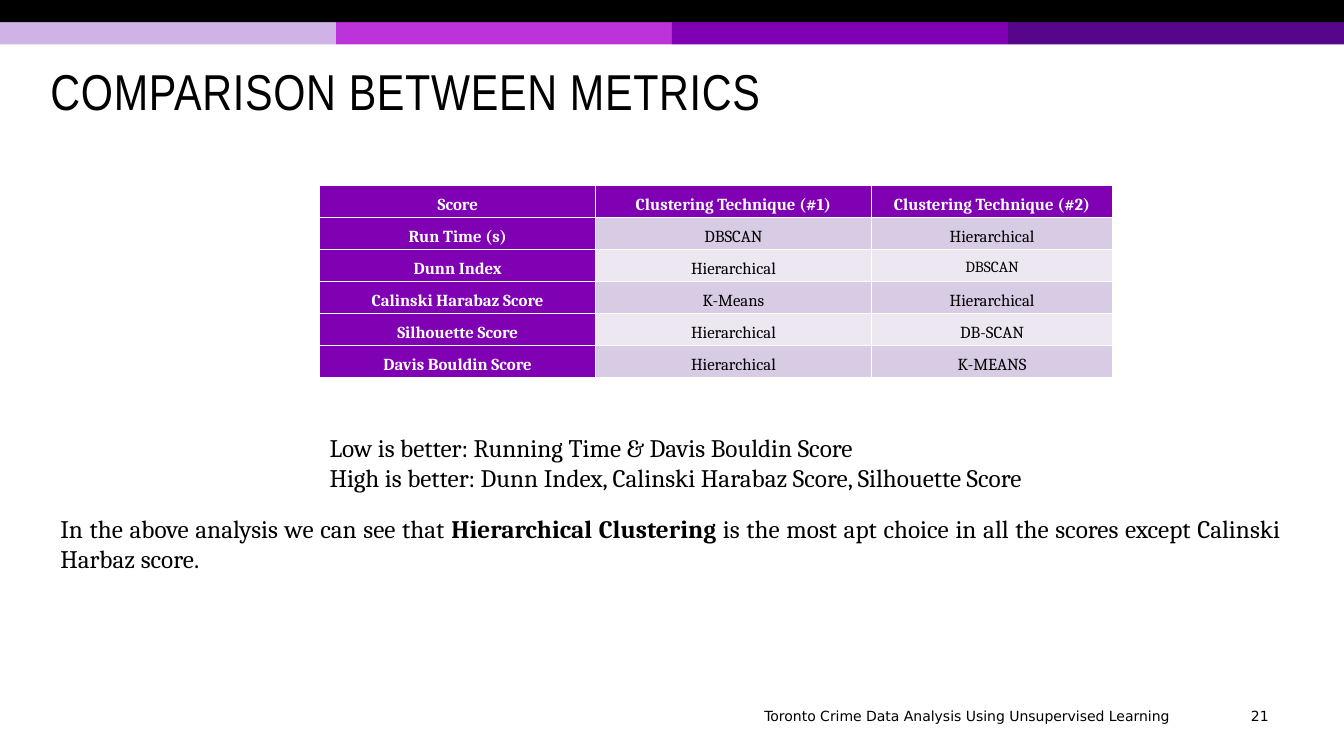
from pptx import Presentation
from pptx import util as u
from pptx.dml.color import RGBColor
from pptx.enum import shapes, text

WIDTH, HEIGHT = 13.33, 7.5
BAND = 0.22
MARGIN = 0.5
TABLE_LEFT, TABLE_WIDTH = 3.17, 7.87
PURPLE, BLACK, WHITE = "8000B3", "000000", "FFFFFF"


def paint(color_format, hex_color):
    color_format.rgb = RGBColor.from_string(hex_color)


def add_text(left, top, width, height, lines, font, size, align):
    """Add a text box; each line is a list of (words, bold) runs."""
    box = slide.shapes.add_textbox(*map(u.Inches, (left, top, width, height)))
    frame = box.text_frame
    frame.word_wrap = True
    for i, runs in enumerate(lines):
        line = frame.paragraphs[0] if i == 0 else frame.add_paragraph()
        line.alignment = align
        line.font.name, line.font.size = font, u.Pt(size)
        paint(line.font.color, BLACK)
        for words, bold in runs:
            run = line.add_run()
            run.text = words
            if bold:
                run.font.bold = True
    return frame


deck = Presentation()
deck.slide_width, deck.slide_height = u.Inches(WIDTH), u.Inches(HEIGHT)
slide = deck.slides.add_slide(deck.slide_layouts[5])

# Black band above four equal purple bands
quarter = WIDTH / 4
bands = [(i * quarter, BAND, quarter, color)
         for i, color in enumerate(["CFB3E6", "BD33DA", PURPLE, "57058A"])]
for left, top, width, color in bands + [(0, 0, WIDTH, BLACK)]:
    band = slide.shapes.add_shape(
        shapes.MSO_SHAPE.RECTANGLE, *map(u.Inches, (left, top, width, BAND)))
    band.shadow.inherit = False
    band.fill.solid()
    paint(band.fill.fore_color, color)
    band.line.fill.background()

# Title
title = slide.shapes.title
title.left, title.top = u.Inches(MARGIN), u.Inches(0.52)
title.width, title.height = u.Inches(9.51), u.Inches(0.73)
title.text = "COMPARISON BETWEEN METRICS"
title.text_frame.auto_size = text.MSO_AUTO_SIZE.NONE
title.text_frame.vertical_anchor = text.MSO_ANCHOR.BOTTOM
title.text_frame.margin_left = 0
heading = title.text_frame.paragraphs[0]
heading.alignment = text.PP_ALIGN.LEFT
heading.line_spacing = 0.85
heading.font.name, heading.font.size = "Arial Narrow", u.Pt(36)
paint(heading.font.color, BLACK)
heading.runs[0].font._element.set("spc", "50")

# Metric table
scores = [
    ("Score", "Clustering Technique (#1)", "Clustering Technique (#2)"),
    ("Run Time (s)", "DBSCAN", "Hierarchical"),
    ("Dunn Index", "Hierarchical", "DBSCAN"),
    ("Calinski Harabaz Score", "K-Means", "Hierarchical"),
    ("Silhouette Score", "Hierarchical", "DB-SCAN"),
    ("Davis Bouldin Score", "Hierarchical", "K-MEANS"),
]
metrics = slide.shapes.add_table(
    len(scores), 3, *map(u.Inches, (TABLE_LEFT, 1.84, TABLE_WIDTH, 1.91))).table
metrics.first_col = True
for column, width in zip(metrics.columns, (2.74, 2.73, 2.4)):
    column.width = u.Inches(width)
for r, row in enumerate(scores):
    for c, words in enumerate(row):
        cell = metrics.cell(r, c)
        header = r == 0 or c == 0
        cell.text = words
        cell.margin_left = cell.margin_right = u.Inches(0.07)
        cell.margin_top = cell.margin_bottom = 0
        cell.fill.solid()
        paint(cell.fill.fore_color,
              PURPLE if header else "D8CCE5" if r % 2 else "EDE7F2")
        entry = cell.text_frame.paragraphs[0]
        entry.alignment = text.PP_ALIGN.CENTER
        entry.line_spacing = 1.5
        entry.font.name = "Cambria"
        entry.font.size = u.Pt(11 if (r, c) == (2, 2) else 12)
        entry.font.bold = header
        paint(entry.font.color, WHITE if header else BLACK)

# Reading guide and conclusion
add_text(TABLE_LEFT, 4.24, TABLE_WIDTH, 0.71, [
    [("Low is better: Running Time & Davis Bouldin Score", False)],
    [("High is better: Dunn Index, Calinski Harabaz Score, Silhouette Score", False)],
], "Cambria", 18, text.PP_ALIGN.LEFT)
add_text(MARGIN, 5.04, 12.3, 0.71, [[
    ("In the above analysis we can see that ", False),
    ("Hierarchical Clustering ", True),
    ("is the most apt choice in all the scores except Calinski Harbaz score.", False),
]], "Cambria", 18, text.PP_ALIGN.JUSTIFY)

# Footer and slide number
for left, width, words in [
    (7.24, 4.7, "Toronto Crime Data Analysis Using Unsupervised Learning"),
    (12.19, 0.61, "21"),
]:
    footer = add_text(left, 6.97, width, 0.27, [[(words, False)]],
                      "DejaVu Sans", 10, text.PP_ALIGN.CENTER)
    footer.vertical_anchor = text.MSO_ANCHOR.MIDDLE

deck.save("out.pptx")
